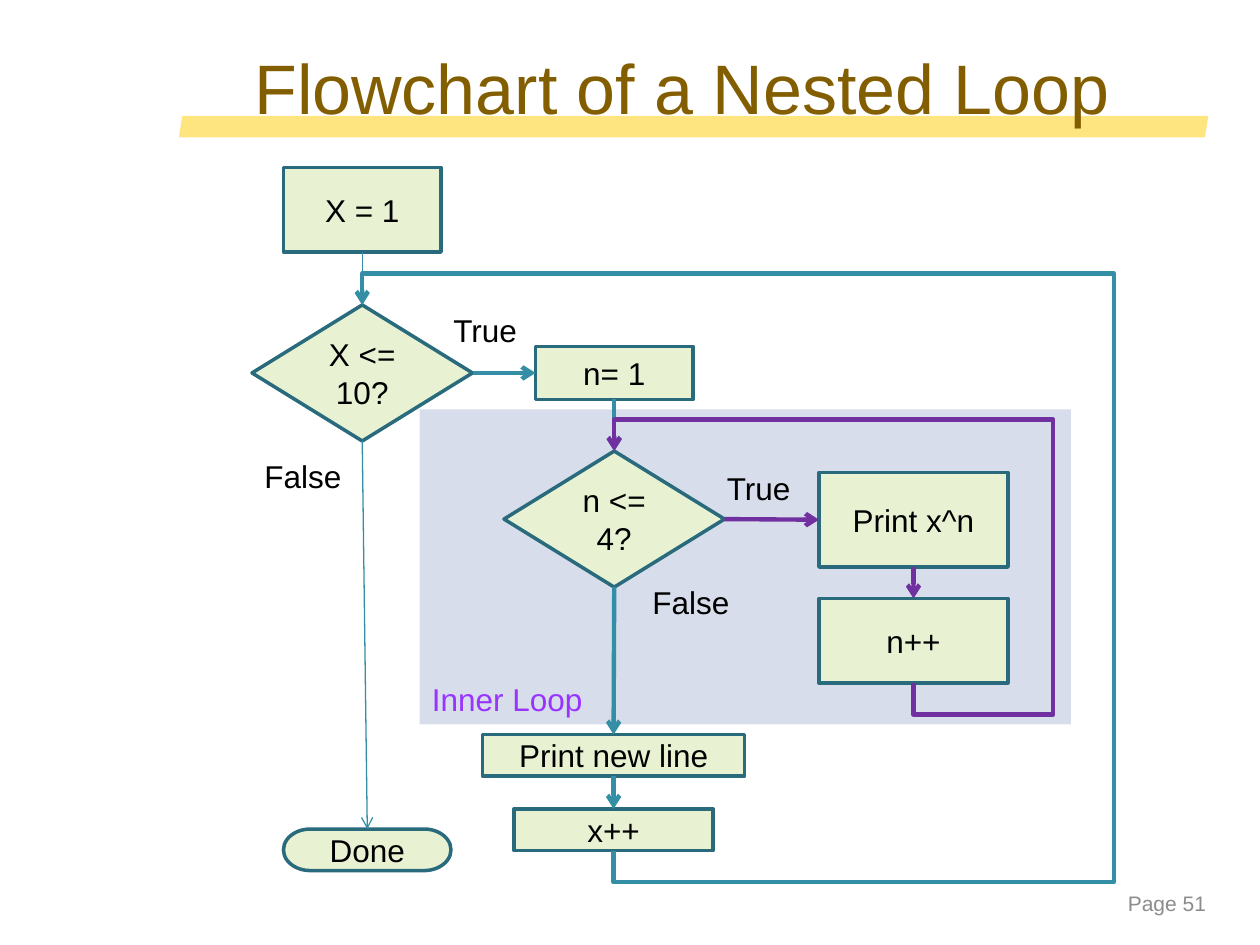
from lxml import etree
from pptx import Presentation
from pptx.dml.color import RGBColor
from pptx.enum.shapes import MSO_CONNECTOR, MSO_SHAPE
from pptx.enum.text import MSO_ANCHOR, MSO_AUTO_SIZE, PP_ALIGN
from pptx.oxml.ns import qn
from pptx.util import Inches, Pt

PROCESS = MSO_SHAPE.FLOWCHART_PROCESS
CHOICE = MSO_SHAPE.FLOWCHART_DECISION
FINISH = MSO_SHAPE.FLOWCHART_TERMINATOR
RECT = MSO_SHAPE.RECTANGLE
SLANT = MSO_SHAPE.PARALLELOGRAM
STRAIGHT, ELBOW = MSO_CONNECTOR.STRAIGHT, MSO_CONNECTOR.ELBOW
LEFT, CENTER, RIGHT = PP_ALIGN.LEFT, PP_ALIGN.CENTER, PP_ALIGN.RIGHT
MIDDLE, BOTTOM, TOP = MSO_ANCHOR.MIDDLE, MSO_ANCHOR.BOTTOM, MSO_ANCHOR.TOP
FIT = MSO_AUTO_SIZE.SHAPE_TO_FIT_TEXT

BLACK = RGBColor(0x00, 0x00, 0x00)
BROWN = RGBColor(0x83, 0x5E, 0x01)
GRAY = RGBColor(0x8C, 0x8C, 0x8C)
GOLD = RGBColor(0xFF, 0xCC, 0x00)
PALE = RGBColor(0xD7, 0xDD, 0xEB)
VIOLET = RGBColor(0x99, 0x33, 0xFF)
GREEN = RGBColor(0xE8, 0xF2, 0xD3)
EDGE = RGBColor(0x29, 0x6B, 0x7C)
TEAL = RGBColor(0x34, 0x8F, 0xA6)
PURPLE = RGBColor(0x70, 0x30, 0xA0)

SIDE_TOP, SIDE_LEFT, SIDE_BOTTOM, SIDE_RIGHT = range(4)
THIN, THICK = 0.75, 2.5
STUB = Inches(0.25)


class Chart:
    """Flowchart style and the slide it is drawn on."""

    font = "Arial"
    size = 18

    def __init__(self, slide):
        self.shapes = slide.shapes

    def fill_text(self, shape, text, color=BLACK, size=size, align=LEFT,
                  anchor=MIDDLE):
        frame = shape.text_frame
        frame.word_wrap = True
        frame.vertical_anchor = anchor
        para = frame.paragraphs[0]
        para.text = text
        para.alignment = align
        para.font.name = self.font
        para.font.size = Pt(size)
        para.font.color.rgb = color
        return frame

    def text(self, box, text, **style):
        shape = self.shapes.add_textbox(*map(Inches, box))
        return self.fill_text(shape, text, **style)

    def label(self, left, top, width, text):
        frame = self.text((left, top, width, 0.4), text, anchor=TOP)
        frame.word_wrap = False
        frame.auto_size = FIT

    def block(self, kind, box, fill):
        shape = self.shapes.add_shape(kind, *map(Inches, box))
        shape.shadow.inherit = False
        shape.fill.solid()
        shape.fill.fore_color.rgb = fill
        shape.line.fill.background()
        return shape

    def node(self, kind, box, text):
        shape = self.block(kind, box, GREEN)
        shape.line.color.rgb = EDGE
        shape.line.width = Pt(2)
        self.fill_text(shape, text, align=CENTER)
        return shape

    def link(self, start, end, color=TEAL, width=THICK,
             out=SIDE_BOTTOM, into=SIDE_TOP, kind=STRAIGHT):
        line = self.shapes.add_connector(kind, 0, 0, 0, 0)
        line.begin_connect(start, out)
        line.end_connect(end, into)
        line.line.color.rgb = color
        line.line.width = Pt(width)
        props = line._element.spPr
        tail = etree.SubElement(props.find(qn("a:ln")), qn("a:tailEnd"))
        tail.set("type", "arrow")
        etree.SubElement(props, qn("a:effectLst"))
        return line

    def loop(self, start, end, side, color):
        """Lead from the bottom of start around the right side up to end."""
        line = self.link(start, end, color, kind=ELBOW)
        x, y = line.begin_x, line.begin_y
        wide, high = x - line.end_x, y - line.end_y
        line.left = x - (wide + high) // 2
        line.top = y - (wide + high) // 2
        line.width, line.height = high, wide
        frame = line._element.spPr.find(qn("a:xfrm"))
        frame.attrib.pop("flipV", None)
        frame.set("rot", "5400000")
        frame.set("flipH", "1")
        shape = line._element.spPr.find(qn("a:prstGeom"))
        shape.set("prst", "bentConnector5")
        guides = shape.find(qn("a:avLst"))
        if guides is None:
            guides = etree.SubElement(shape, qn("a:avLst"))
        bends = (-STUB / high, (x - Inches(side)) / wide, 1 + STUB / high)
        for i, bend in enumerate(bends, 1):
            guide = etree.SubElement(guides, qn("a:gd"))
            guide.set("name", f"adj{i}")
            guide.set("fmla", f"val {round(bend * 100000)}")


def main():
    deck = Presentation()
    deck.slide_width, deck.slide_height = Inches(10), Inches(7.5)
    chart = Chart(deck.slides.add_slide(deck.slide_layouts[6]))

    band = chart.block(SLANT, (1.42, 0.92, 8.17, 0.17), GOLD)
    band.adjustments[0] = 0.156
    tint = band._element.spPr.find(".//" + qn("a:srgbClr"))
    etree.SubElement(tint, qn("a:alpha")).set("val", "50000")

    inner = chart.block(RECT, (3.33, 3.25, 5.17, 2.5), PALE)
    chart.fill_text(inner, "Inner Loop", VIOLET, anchor=BOTTOM)
    chart.text((1.92, 0.3, 7.75, 0.78), "Flowchart of a Nested Loop",
               color=BROWN, size=40)
    chart.text((7.92, 7, 1.75, 0.33), "Page 51", color=GRAY, size=12, align=RIGHT)

    first = chart.node(PROCESS, (2.25, 1.33, 1.25, 0.67), "X = 1")
    outer = chart.node(CHOICE, (2, 2.42, 1.75, 1.08), "X <= 10?")
    reset = chart.node(PROCESS, (4.25, 2.75, 1.25, 0.42), "n= 1")
    test = chart.node(CHOICE, (4, 3.58, 1.75, 1.08), "n <= 4?")
    power = chart.node(PROCESS, (6.5, 3.75, 1.5, 0.75), "Print x^n")
    count = chart.node(PROCESS, (6.5, 4.75, 1.5, 0.67), "n++")
    feed = chart.node(PROCESS, (3.83, 5.83, 2.08, 0.33), "Print new line")
    step = chart.node(PROCESS, (4.08, 6.42, 1.58, 0.33), "x++")
    done = chart.node(FINISH, (2.25, 6.58, 1.33, 0.33), "Done")

    chart.link(first, outer, width=THIN)
    chart.link(outer, done, width=THIN)
    chart.link(outer, reset, out=SIDE_RIGHT, into=SIDE_LEFT)
    chart.link(reset, test)
    chart.link(test, feed)
    chart.link(feed, step)
    chart.link(test, power, PURPLE, out=SIDE_RIGHT, into=SIDE_LEFT)
    chart.link(power, count, PURPLE)
    chart.loop(count, test, 8.36, PURPLE)
    chart.loop(step, outer, 8.84, TEAL)

    for left, top in ((3.5, 2.42), (5.67, 3.67)):
        chart.label(left, top, 0.71, "True")
    for left, top in ((2, 3.58), (5.08, 4.58)):
        chart.label(left, top, 0.82, "False")

    deck.save("out.pptx")


if __name__ == "__main__":
    main()
